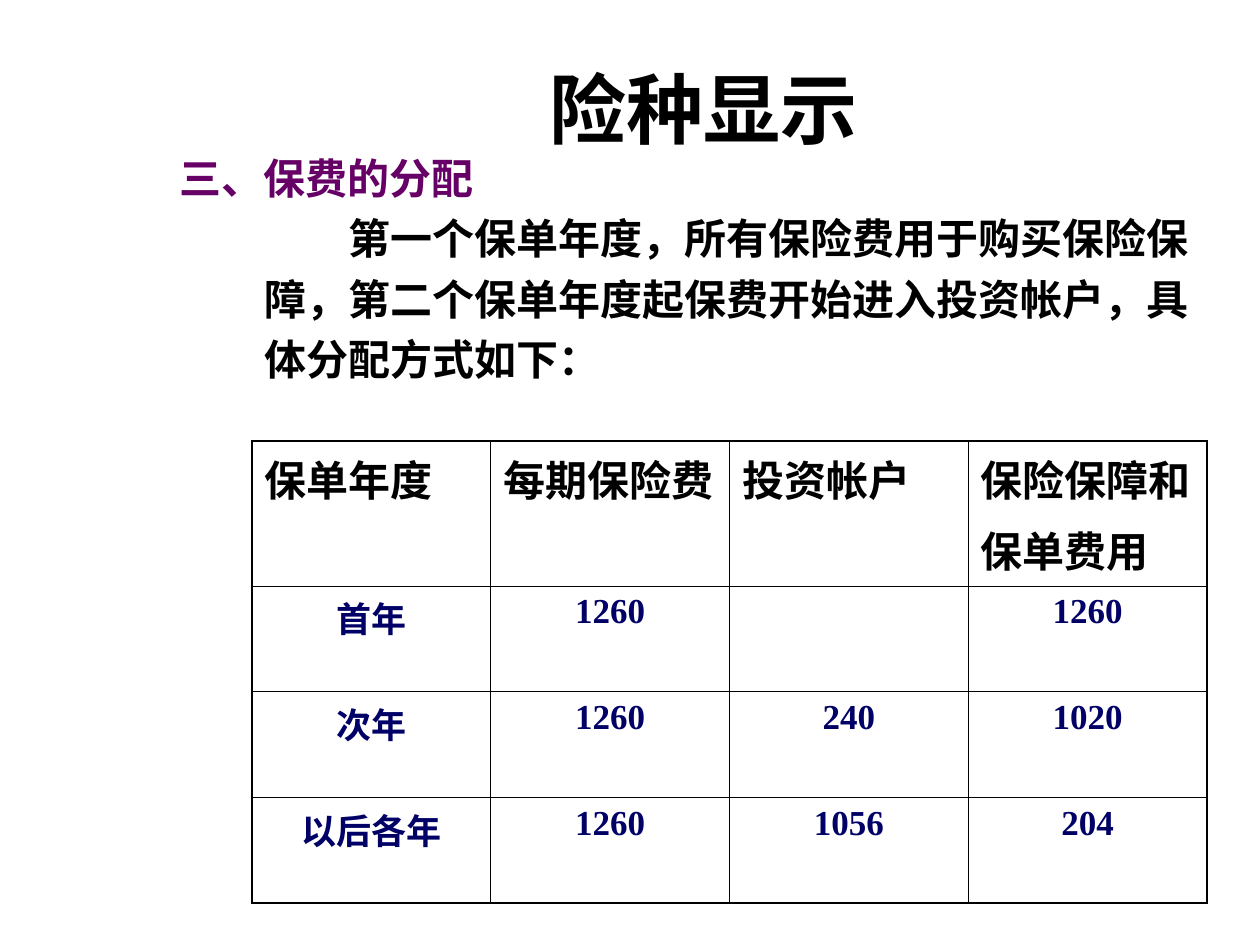
"""Build a slide on how premiums are allocated by policy year."""
import pptx
import pptx.dml.color
import pptx.enum.text
import pptx.oxml.ns
import pptx.util
import lxml.etree

WIDE, HIGH = 10, 7.5
HAN, LATIN = "Noto Sans CJK SC", "Times New Roman"
BLACK, PURPLE, NAVY = "000000", "660066", "000066"
THICK, THIN = 1.08, 0.45
TITLE = "险种显示"
BODY = [
    ("三、保费的分配", PURPLE, -0.67),
    ("第一个保单年度，所有保险费用于购买保险保障，第二个保单年度起保费开始进入投资帐户，具体分配方式如下：", BLACK, 0.67),
]
ROWS = [
    [["保单年度"], ["每期保险费"], ["投资帐户"], ["保险保障和", "保单费用"]],
    [["首年"], ["1260"], [], ["1260"]],
    [["次年"], ["1260"], ["240"], ["1020"]],
    [["以后各年"], ["1260"], ["1056"], ["204"]],
]
ALIGN = pptx.enum.text.PP_ALIGN
inch, pt, qn = pptx.util.Inches, pptx.util.Pt, pptx.oxml.ns.qn


def tint(code):
    """Turn a hex string into a colour."""
    return pptx.dml.color.RGBColor.from_string(code)


def write(para, text, size, color, face=LATIN):
    """Add one bold run to a paragraph."""
    run = para.add_run()
    run.text = text
    font = run.font
    font.size, font.bold, font.name = pt(size), True, face
    font.color.rgb = tint(color)
    east = lxml.etree.SubElement(run._r.get_or_add_rPr(), qn("a:ea"))
    east.set("typeface", HAN)


def add_box(slide, left, top, wide, high):
    """Add a wrapping text box and return its frame."""
    frame = slide.shapes.add_textbox(*map(inch, (left, top, wide, high))).text_frame
    frame.word_wrap = True
    return frame


def add_title(slide):
    """Add the title, raised by a closing line break."""
    frame = add_box(slide, 1.17, 0.5, 8.83, 1.17)
    frame.vertical_anchor = pptx.enum.text.MSO_ANCHOR.MIDDLE
    para = frame.paragraphs[0]
    para.alignment = ALIGN.CENTER
    para.line_spacing = 1.2
    write(para, TITLE, 44, BLACK, HAN)
    para.add_line_break()
    mark = lxml.etree.SubElement(para._p[-1], qn("a:rPr"))
    close = lxml.etree.SubElement(para._p, qn("a:endParaRPr"))
    for node in (mark, close):
        node.set("sz", "3600")
        lxml.etree.SubElement(node, qn("a:latin")).set("typeface", LATIN)


def add_body(slide):
    """Add the heading and its indented paragraph."""
    frame = add_box(slide, 1.33, 1.08, 8.33, 6)
    for i, (text, color, indent) in enumerate(BODY):
        para = frame.add_paragraph() if i else frame.paragraphs[0]
        para.line_spacing = 1.2
        props = para._p.get_or_add_pPr()
        props.set("marL", str(inch(0.67)))
        props.set("indent", str(inch(indent)))
        write(para, text, 24, color, HAN)


def edge(cell, sides):
    """Draw the four borders of a cell and clear its fill."""
    props = cell._tc.get_or_add_tcPr()
    for side, width in sides.items():
        line = lxml.etree.SubElement(props, qn("a:ln" + side), w=str(pt(width)))
        fill = lxml.etree.SubElement(line, qn("a:solidFill"))
        lxml.etree.SubElement(fill, qn("a:srgbClr"), val=BLACK)
    cell.fill.background()


def add_grid(slide):
    """Add the table of premium shares."""
    rows, cols = len(ROWS), len(ROWS[0])
    high = [1.15] + [0.84] * (rows - 1)
    place = map(inch, (2, 3.5, 7.58, sum(high)))
    table = slide.shapes.add_table(rows, cols, *place).table
    table.first_row = table.horz_banding = False
    for col in table.columns:
        col.width = inch(7.58 / cols)
    for r, row in enumerate(ROWS):
        table.rows[r].height = inch(high[r])
        for c, lines in enumerate(row):
            cell = table.cell(r, c)
            outer = {"L": c == 0, "R": c == cols - 1, "T": r == 0, "B": r == rows - 1}
            edge(cell, {side: THICK if out else THIN for side, out in outer.items()})
            frame = cell.text_frame
            for i, text in enumerate(lines):
                para = frame.add_paragraph() if i else frame.paragraphs[0]
                if i:
                    para.space_before = pt(6)
                para.alignment = ALIGN.CENTER if r else ALIGN.LEFT
                write(para, text, 20 if r else 24, NAVY if r else BLACK)


def main():
    """Build and save the slide."""
    deck = pptx.Presentation()
    deck.slide_width, deck.slide_height = inch(WIDE), inch(HIGH)
    slide = deck.slides.add_slide(deck.slide_layouts[6])
    add_title(slide)
    add_body(slide)
    add_grid(slide)
    deck.save("out.pptx")


if __name__ == "__main__":
    main()
